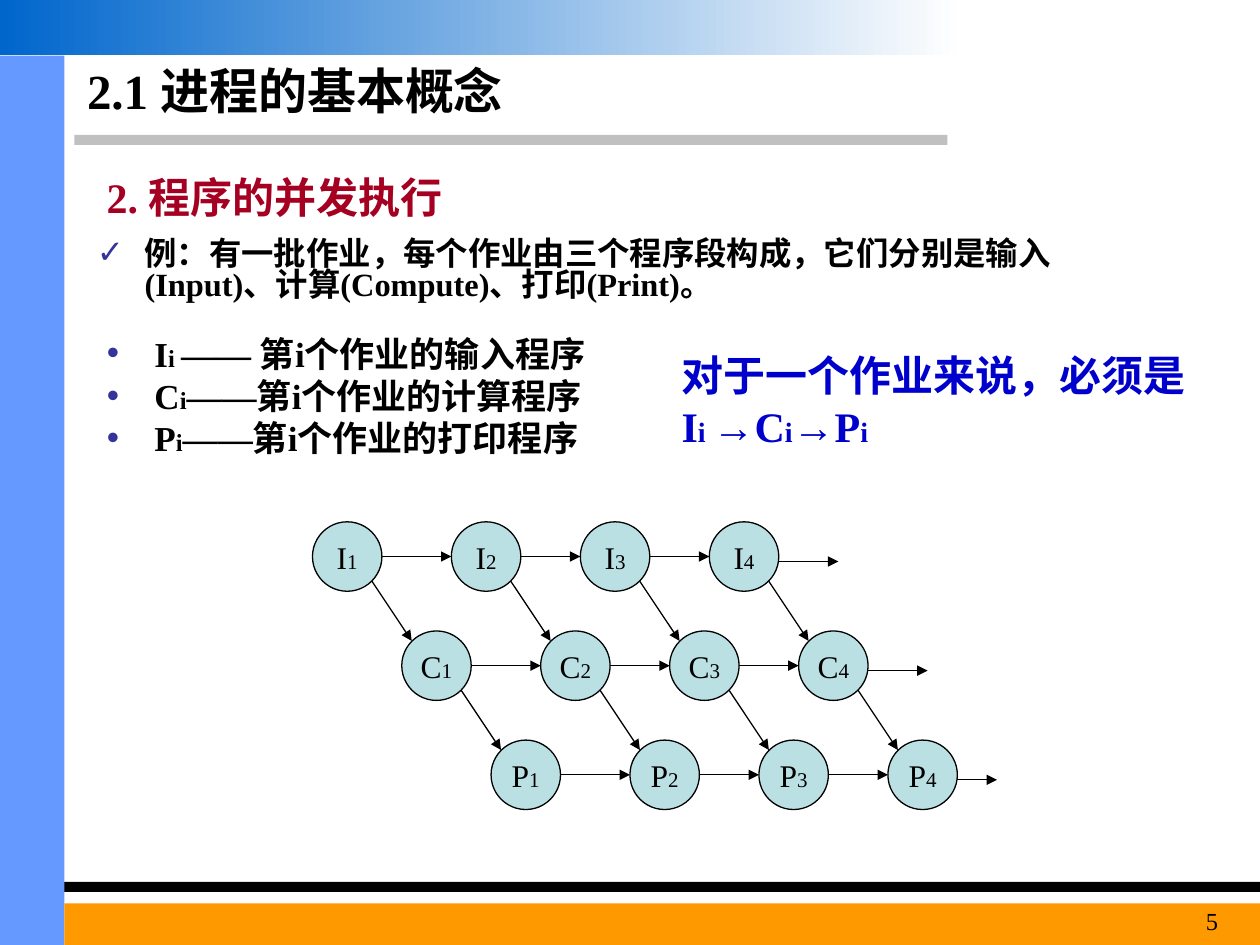
from typing import NamedTuple

from lxml import etree
from pptx import Presentation
from pptx.dml.color import RGBColor
from pptx.enum import shapes, text
from pptx.oxml.ns import qn
from pptx.util import Cm, Pt

BLACK = RGBColor(0x00, 0x00, 0x00)
GREY = RGBColor(0xC0, 0xC0, 0xC0)
SIDE_BLUE = RGBColor(0x66, 0x99, 0xFF)
ORANGE = RGBColor(0xFF, 0x99, 0x00)
NEAR_WHITE = RGBColor(0xFE, 0xFE, 0xFE)
BANNER_BLUE = RGBColor(0x00, 0x66, 0xCC)
CRIMSON = RGBColor(0xA5, 0x00, 0x21)
NOTE_BLUE = RGBColor(0x00, 0x00, 0xCC)
NODE_FILL = RGBColor(0xBB, 0xE0, 0xE3)
BULLET_COLOR = "333399"
FONT = "Times New Roman"


class Box(NamedTuple):
    """Left, top, width and height in centimetres."""
    x: float
    y: float
    w: float
    h: float

    def lengths(self) -> list:
        return [Cm(v) for v in self]


class Run(NamedTuple):
    text: str
    size: float


class Bar(NamedTuple):
    box: Box
    color: RGBColor


class Row(NamedTuple):
    letter: str
    exit_length: float


BARS = [
    Bar(Box(1.5, 2.72, 17.6, 0.2), GREY),
    Bar(Box(0, 17.78, 25.4, 0.2), BLACK),
    Bar(Box(0, 1.12, 1.3, 17.93), SIDE_BLUE),
    Bar(Box(1.3, 18.21, 24.1, 0.84), ORANGE),
]
EXAMPLE = [[Run("例：有一批作业，每个作业由三个程序段构成，它们分别是输入"
                "(Input)、计算(Compute)、打印(Print)。", 18.5)]]
PROGRAMS = [
    [Run("I", 20), Run("i ", 14), Run("—— 第i个作业的输入程序", 20)],
    [Run("C", 20), Run("i", 14), Run("——第i个作业的计算程序", 20)],
    [Run("P", 20), Run("i", 14), Run("——第i个作业的打印程序", 20)],
]
ORDER = [Run("对于一个作业来说，必须是  I", 24), Run("i ", 16), Run("→C", 24),
         Run("i", 16), Run("→P", 24), Run("i", 16)]

ROWS = [Row("I", 1.2), Row("C", 1.2), Row("P", 0.8)]
COLUMN_X = [6.3, 9.1, 11.7, 14.3]
TOP_Y = 10.52
ROW_SHIFT, ROW_STEP = 1.8, 2.2
DIAMETER = 1.4
EDGE = 1.2  # where a diagonal leaves a node, from its top left corner
EXIT_DROP = 0.1


def add_runs(p, runs: list[Run], color: RGBColor, bold: bool = True) -> None:
    for run in runs:
        r = p.add_run()
        r.text = run.text
        r.font.name = FONT
        r.font.size = Pt(run.size)
        r.font.bold = bold
        r.font.color.rgb = color


def place(sp, box: Box):
    sp.left, sp.top, sp.width, sp.height = box.lengths()
    tf = sp.text_frame
    tf.word_wrap = True
    tf.auto_size = text.MSO_AUTO_SIZE.NONE
    return tf


def set_bullet(p, char: str) -> None:
    ppr = p._p.get_or_add_pPr()
    ppr.set("marL", str(Cm(0.96)))
    ppr.set("indent", str(Cm(-0.96)))
    color = etree.SubElement(ppr, qn("a:buClr"))
    etree.SubElement(color, qn("a:srgbClr"), val=BULLET_COLOR)
    etree.SubElement(ppr, qn("a:buChar"), char=char)


def fill_list(sp, box: Box, items: list[list[Run]], bullet: str) -> None:
    tf = place(sp, box)
    tf.vertical_anchor = text.MSO_ANCHOR.TOP
    for i, runs in enumerate(items):
        p = tf.add_paragraph() if i else tf.paragraphs[0]
        p.line_spacing = 0.8
        p.space_before = Pt(5)
        set_bullet(p, bullet)
        add_runs(p, runs, BLACK)


def add_text(s, box: Box, runs: list[Run], color: RGBColor, bold: bool = True):
    tf = place(s.shapes.add_textbox(*box.lengths()), box)
    add_runs(tf.paragraphs[0], runs, color, bold)
    return tf.paragraphs[0]


def add_bar(s, box: Box):
    sp = s.shapes.add_shape(shapes.MSO_SHAPE.RECTANGLE, *box.lengths())
    sp.shadow.inherit = False
    sp.line.fill.background()
    return sp


def add_background(s) -> None:
    for bar in BARS:
        fill = add_bar(s, bar.box).fill
        fill.solid()
        fill.fore_color.rgb = bar.color
    fill = add_bar(s, Box(0, 0, 19.3, 1.12)).fill
    fill.gradient()
    fill.gradient_angle = 180
    for stop, color in zip(fill.gradient_stops, (NEAR_WHITE, BANNER_BLUE)):
        stop.color.rgb = color


def add_node(s, x: float, y: float, letter: str, number: int) -> None:
    box = Box(x, y, DIAMETER, DIAMETER)
    sp = s.shapes.add_shape(shapes.MSO_SHAPE.OVAL, *box.lengths())
    sp.shadow.inherit = False
    sp.fill.solid()
    sp.fill.fore_color.rgb = NODE_FILL
    sp.line.color.rgb = BLACK
    sp.line.width = Pt(0.75)
    tf = sp.text_frame
    tf.word_wrap = False
    tf.vertical_anchor = text.MSO_ANCHOR.MIDDLE
    p = tf.paragraphs[0]
    p.alignment = text.PP_ALIGN.CENTER
    add_runs(p, [Run(letter, 18), Run(str(number), 12)], BLACK, bold=False)


def add_arrow(s, x1: float, y1: float, x2: float, y2: float) -> None:
    c = s.shapes.add_connector(shapes.MSO_CONNECTOR.STRAIGHT,
                               Cm(x1), Cm(y1), Cm(x2), Cm(y2))
    c.line.color.rgb = BLACK
    c.line.width = Pt(0.75)
    etree.SubElement(c.line._get_or_add_ln(), qn("a:tailEnd"), type="triangle")
    etree.SubElement(c._element.spPr, qn("a:effectLst"))


def add_pipeline(s) -> None:
    """Draw the precedence graph: one row per stage, one column per job."""
    for i, row in enumerate(ROWS):
        y = TOP_Y + i * ROW_STEP
        middle = y + DIAMETER / 2
        for j, column in enumerate(COLUMN_X):
            x = column + i * ROW_SHIFT
            right = x + DIAMETER
            add_node(s, x, y, row.letter, j + 1)
            if j + 1 < len(COLUMN_X):
                add_arrow(s, right, middle, COLUMN_X[j + 1] + i * ROW_SHIFT, middle)
            else:
                exit_y = middle + EXIT_DROP
                add_arrow(s, right, exit_y, right + row.exit_length, exit_y)
            if i + 1 < len(ROWS):
                add_arrow(s, x + EDGE, y + EDGE, x + ROW_SHIFT + DIAMETER - EDGE,
                          y + ROW_STEP + DIAMETER - EDGE)


def main() -> None:
    prs = Presentation()
    prs.slide_width, prs.slide_height = Cm(25.4), Cm(19.05)
    s = prs.slides.add_slide(prs.slide_layouts.get_by_name("Two Content"))
    add_background(s)

    tf = place(s.shapes.title, Box(1.5, 1.12, 17.4, 1.4))
    tf.vertical_anchor = text.MSO_ANCHOR.MIDDLE
    tf.paragraphs[0].alignment = text.PP_ALIGN.LEFT
    add_runs(tf.paragraphs[0], [Run("2.1 进程的基本概念", 28)], BLACK)

    p = add_text(s, Box(1.9, 3.33, 7.6, 1.27), [Run("2. 程序的并发执行", 24)], CRIMSON)
    p.space_before = Pt(15)
    fill_list(s.placeholders[1], Box(1.7, 4.72, 20.6, 1.6), EXAMPLE, "✓")
    fill_list(s.placeholders[2], Box(1.9, 6.73, 12, 2.8), PROGRAMS, "•")
    add_text(s, Box(13.49, 6.93, 11.2, 2.29), ORDER, NOTE_BLUE)
    add_pipeline(s)

    p = add_text(s, Box(22.5, 18.14, 2.31, 0.91), [Run("5", 14)], BLACK, bold=False)
    p.alignment = text.PP_ALIGN.RIGHT
    prs.save("out.pptx")


if __name__ == "__main__":
    main()
